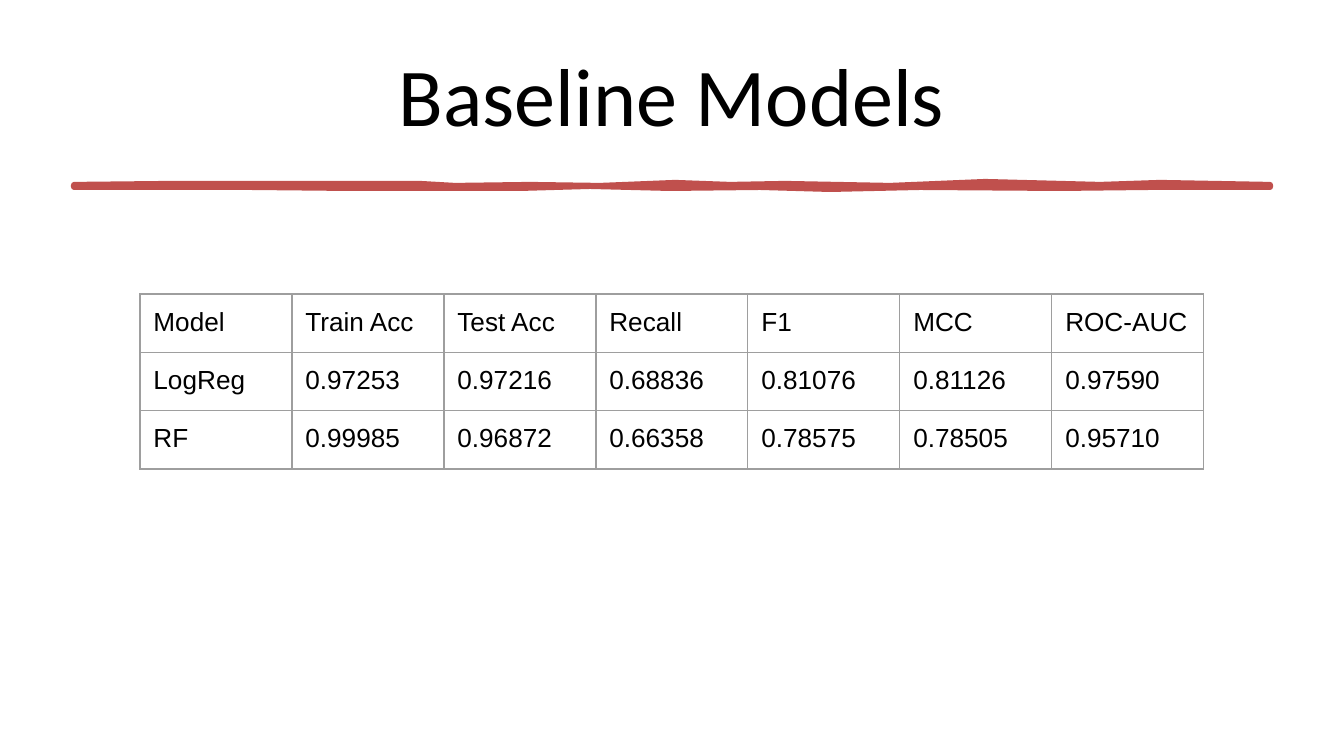
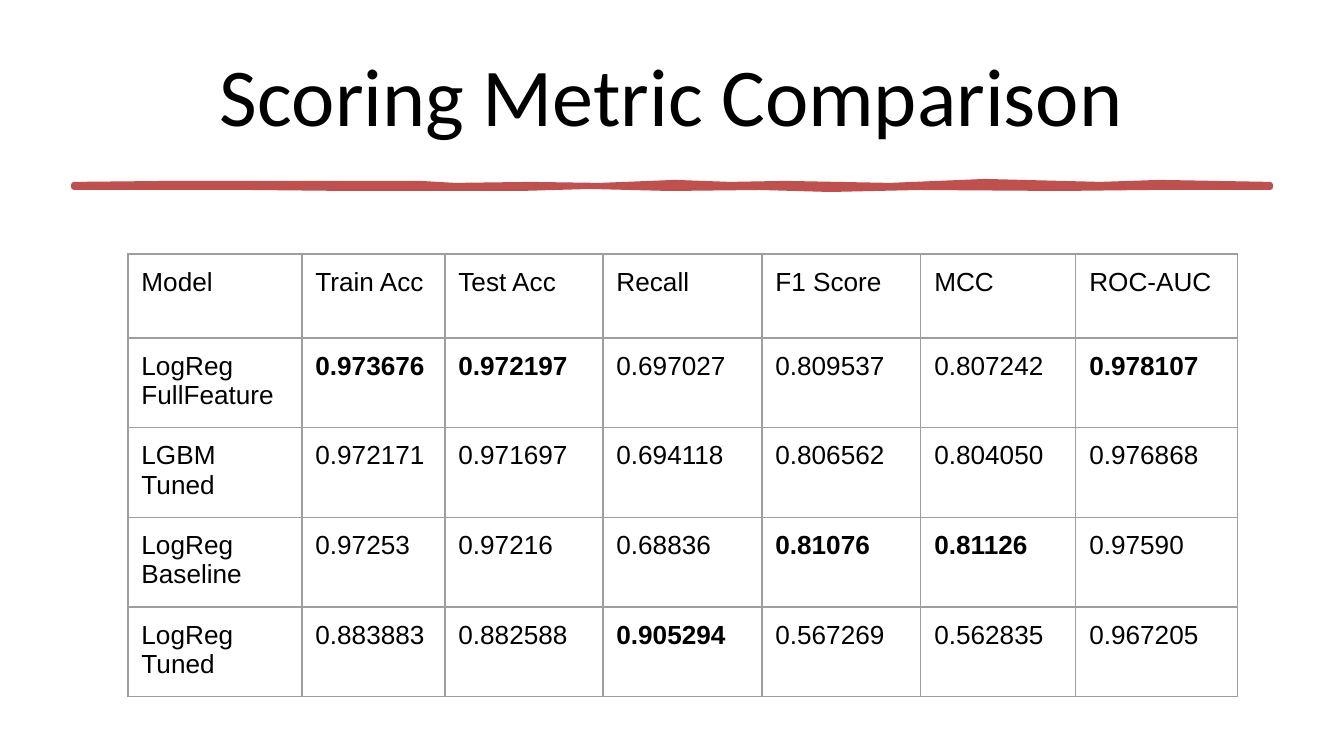
from lxml import etree
from pptx import Presentation
from pptx import util as u
from pptx.dml.color import RGBColor
from pptx.enum import text
from pptx.oxml.ns import qn

EMU = 9144000 / 1344
BLACK, RED, GREY = "000000", "C0504D", "9E9E9E"

# Upper and lower edge of the brush stroke, left to right
TOP = [(74, 185), (170, 184), (420, 184), (455, 186), (530, 185), (600, 186),
       (675, 183), (730, 185), (785, 184), (890, 186), (985, 182),
       (1100, 185), (1160, 183), (1270, 185)]
BASE = [(74, 187), (250, 187), (350, 188), (430, 188), (520, 188), (590, 186),
        (670, 188), (760, 187), (830, 189), (920, 187), (1060, 188),
        (1150, 187), (1270, 187)]

# A star marks a bold value
SLIDES = [
    ("Baseline Models", 140, 294, [152] * 7, 56, [
        "Model|Train Acc|Test Acc|Recall|F1|MCC|ROC-AUC",
        "LogReg|0.97253|0.97216|0.68836|0.81076|0.81126|0.97590",
        "RF|0.99985|0.96872|0.66358|0.78575|0.78505|0.95710"]),
    ("Scoring Metric Comparison", 128, 254,
     [174, 143, 158, 159, 159, 155, 162], 84, [
        "Model|Train Acc|Test Acc|Recall|F1 Score|MCC|ROC-AUC",
        "LogReg\nFullFeature|*0.973676|*0.972197|0.697027|0.809537|0.807242|*0.978107",
        "LGBM\nTuned|0.972171|0.971697|0.694118|0.806562|0.804050|0.976868",
        "LogReg\nBaseline|0.97253|0.97216|0.68836|*0.81076|*0.81126|0.97590",
        "LogReg\nTuned|0.883883|0.882588|*0.905294|0.567269|0.562835|0.967205"]),
]


def px(n):
    return u.Emu(round(n * EMU))


def write(frame, words, size=14, font="Arial", color=BLACK, bold=False,
          align=text.PP_ALIGN.LEFT):
    frame.word_wrap = True
    frame.text = words
    for par in frame.paragraphs:
        par.alignment = align
        par.font.size = u.Pt(size)
        par.font.name = font
        par.font.bold = bold
        par.font.color.rgb = RGBColor.from_string(color)


deck = Presentation()
deck.slide_width, deck.slide_height = px(1344), px(756)

for title, left, top, cols, high, rows in SLIDES:
    slide = deck.slides.add_slide(deck.slide_layouts[6])
    shapes = slide.shapes

    head = shapes.add_textbox(px(67), px(31), px(1210), px(126)).text_frame
    head.vertical_anchor = text.MSO_ANCHOR.MIDDLE
    write(head, title, size=44, font="Calibri", align=text.PP_ALIGN.CENTER)

    path = shapes.build_freeform(*TOP[0], scale=EMU)
    path.add_line_segments(TOP[1:] + BASE[::-1], close=True)
    brush = path.convert_to_shape()
    brush.shadow.inherit = False
    brush.fill.solid()
    brush.fill.fore_color.rgb = RGBColor.from_string(RED)
    brush.line.color.rgb = RGBColor.from_string(RED)
    brush.line.width = u.Pt(3.25)

    table = shapes.add_table(len(rows), len(cols), px(left), px(top),
                             px(sum(cols)), px(high * len(rows))).table
    table.first_row = table.horz_banding = False
    for col, wide in zip(table.columns, cols):
        col.width = px(wide)
    for row, line in zip(table.rows, rows):
        row.height = px(high)
        for cell, words in zip(row.cells, line.split("|")):
            cell.margin_left = cell.margin_right = u.Inches(0.1)
            cell.margin_top = cell.margin_bottom = u.Inches(0.1)
            write(cell.text_frame, words.lstrip("*"), bold=words.startswith("*"))
            props = cell._tc.get_or_add_tcPr()
            for side in ("a:lnL", "a:lnR", "a:lnT", "a:lnB"):
                edge = etree.SubElement(props, qn(side), w=str(u.Pt(0.75)))
                fill = etree.SubElement(edge, qn("a:solidFill"))
                etree.SubElement(fill, qn("a:srgbClr"), val=GREY)
            cell.fill.background()

deck.save("out.pptx")
